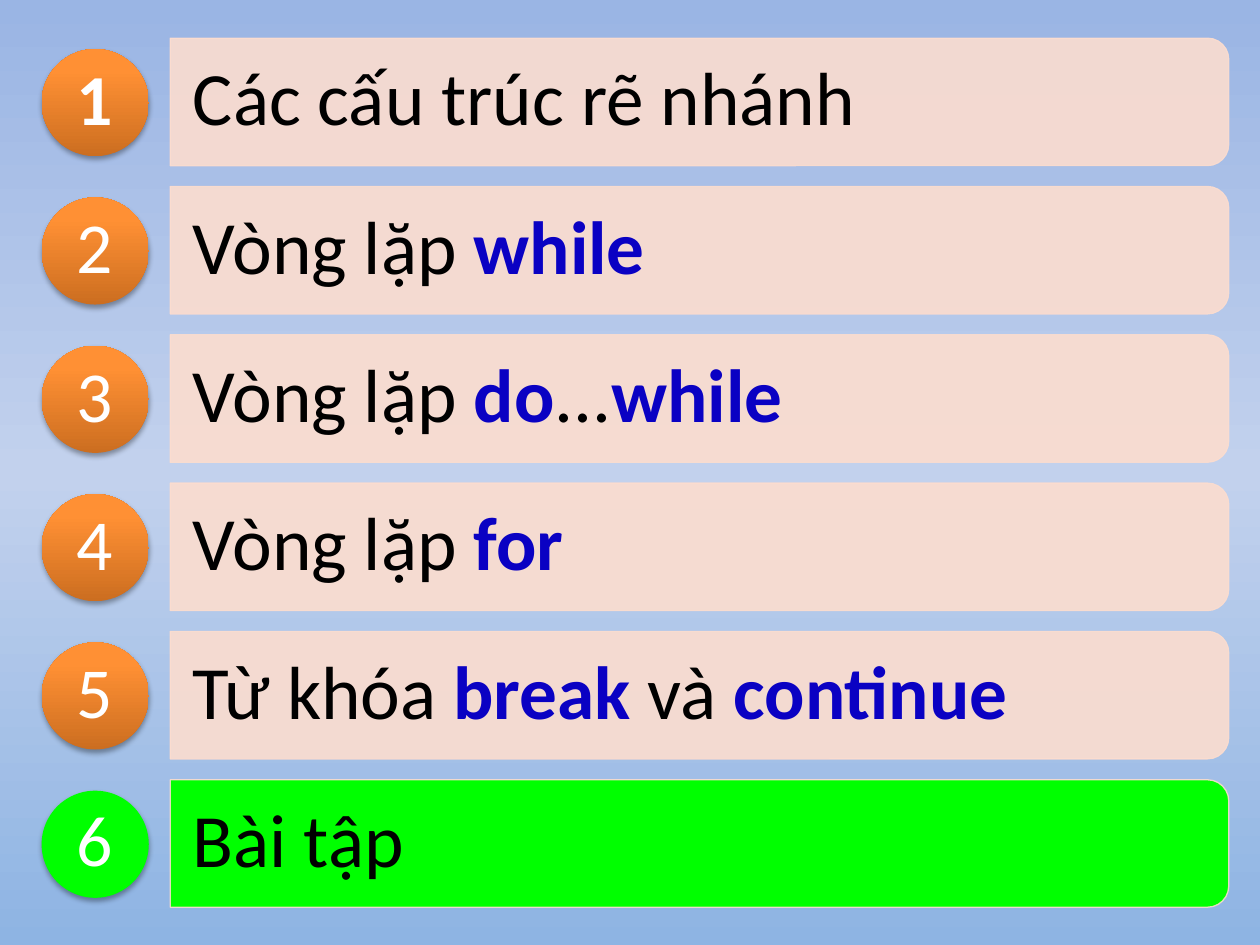
from copy import deepcopy

from lxml import etree
from pptx import Presentation
from pptx import util as u
from pptx.dml.color import RGBColor
from pptx.enum import shapes, text
from pptx.oxml import ns

BLACK = RGBColor(0x00, 0x00, 0x00)
WHITE = RGBColor(0xFF, 0xFF, 0xFF)
KEYWORD = RGBColor(0x0A, 0x01, 0xC3)
PEACH = RGBColor(0xFC, 0xDD, 0xCF)
GREEN = RGBColor(0x00, 0xFF, 0x00)
SKY = [(0, RGBColor(0x9A, 0xB5, 0xE4)), (0.5, RGBColor(0xC2, 0xD1, 0xED)),
       (1, RGBColor(0x8E, 0xB4, 0xE3))]
ORANGE = [(0, RGBColor(0xCC, 0x6E, 0x20)), (0.8, RGBColor(0xFF, 0x90, 0x34)),
          (1, RGBColor(0xFF, 0x91, 0x36))]

# Each topic is a list of (words, is keyword)
TOPICS = [
    [("Các cấu trúc rẽ nhánh", False)],
    [("Vòng lặp ", False), ("while", True)],
    [("Vòng lặp ", False), ("do", True), ("...", False), ("while", True)],
    [("Vòng lặp ", False), ("for", True)],
    [("Từ khóa ", False), ("break", True), (" và ", False), ("continue", True)],
    [("Bài tập", False)],
]
CURRENT = 6
PITCH = 2.99
BAR_LEFT, BAR_TOP, BAR_WIDTH, BAR_HEIGHT = 3.43, 0.77, 21.34, 2.57


def paint_gradient(fill, element, stops, angle):
    fill.gradient()
    fill.gradient_angle = angle
    stop_list = element.find(".//" + ns.qn("a:gsLst"))
    stop_list.append(deepcopy(stop_list[0]))
    for stop, (position, color) in zip(fill.gradient_stops, stops):
        stop.position = position
        stop.color.rgb = color


def add_text(page, left, top, width, height, size, margins=(0, 0)):
    box = page.shapes.add_textbox(u.Cm(left), u.Cm(top), u.Cm(width), u.Cm(height))
    frame = box.text_frame
    frame.word_wrap = True
    frame.vertical_anchor = text.MSO_ANCHOR.MIDDLE
    frame.margin_left = frame.margin_right = u.Cm(margins[0])
    frame.margin_top = frame.margin_bottom = u.Cm(margins[1])
    para = frame.paragraphs[0]
    para.line_spacing = 0.9
    para.font.name = "Calibri"
    para.font.size = u.Pt(size)
    return para


deck = Presentation()
deck.slide_width, deck.slide_height = u.Cm(25.4), u.Cm(19.05)
page = deck.slides.add_slide(deck.slide_layouts[6])
paint_gradient(page.background.fill, page._element, SKY, 270)

for number, topic in enumerate(TOPICS, start=1):
    offset = (number - 1) * PITCH
    current = number == CURRENT

    # Bar: an upright shape turned a quarter so its round corners face right
    shift = (BAR_WIDTH - BAR_HEIGHT) / 2
    bar = page.shapes.add_shape(
        shapes.MSO_SHAPE.ROUND_2_SAME_RECTANGLE,
        u.Cm(BAR_LEFT + shift), u.Cm(BAR_TOP + offset - shift),
        u.Cm(BAR_HEIGHT), u.Cm(BAR_WIDTH))
    bar.rotation = 90
    bar.shadow.inherit = False
    bar.fill.solid()
    bar.fill.fore_color.rgb = GREEN if current else PEACH
    bar.line.color.rgb = PEACH
    bar.line.width = u.Pt(0.75)
    for color in bar._element.spPr.iter(ns.qn("a:srgbClr")):
        if color.get("val") == str(PEACH):
            etree.SubElement(color, ns.qn("a:alpha"), val="90000")

    # Topic, with keywords picked out
    para = add_text(page, BAR_LEFT, 0.89 + offset, 21.21, 2.31, 43, (0.46, 0.3))
    for words, is_keyword in topic:
        span = para.add_run()
        span.text = words
        span.font.color.rgb = KEYWORD if is_keyword else BLACK
        span.font.bold = is_keyword

    # Badge with a soft shadow below
    badge = page.shapes.add_shape(
        shapes.MSO_SHAPE.OVAL, u.Cm(0.84), u.Cm(0.99 + offset), u.Cm(2.16), u.Cm(2.16))
    badge.line.fill.background()
    if current:
        badge.fill.solid()
        badge.fill.fore_color.rgb = GREEN
    else:
        paint_gradient(badge.fill, badge._element, ORANGE, 90)
    badge.shadow.inherit = False
    effects = badge._element.spPr.find(ns.qn("a:effectLst"))
    shadow = etree.SubElement(effects, ns.qn("a:outerShdw"), blurRad="40000",
                              dist="23000", dir="5400000", rotWithShape="0")
    color = etree.SubElement(shadow, ns.qn("a:srgbClr"), val=str(BLACK))
    etree.SubElement(color, ns.qn("a:alpha"), val="35000")

    # Number
    para = add_text(page, 1.16, 1.3 + offset, 1.52, 1.52, 41)
    para.alignment = text.PP_ALIGN.CENTER
    para.font.color.rgb = WHITE
    para.font.bold = number == 1
    para.add_run().text = str(number)

deck.save("out.pptx")
